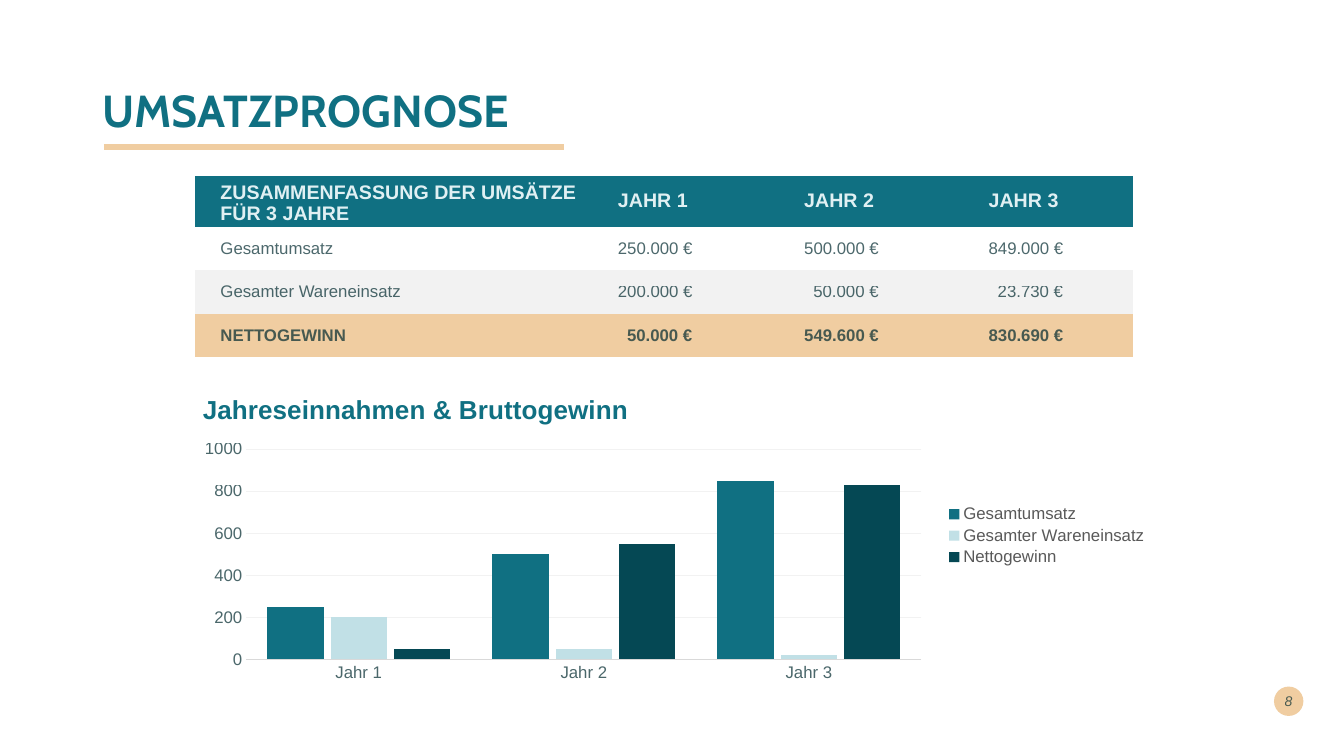
from lxml import etree
from pptx import Presentation
from pptx.chart.data import CategoryChartData
from pptx.dml.color import RGBColor
from pptx.enum.chart import XL_CHART_TYPE as ChartType, XL_LEGEND_POSITION as LegendPos, XL_TICK_MARK as Tick
from pptx.enum.shapes import MSO_CONNECTOR as Connector, MSO_SHAPE as Shape
from pptx.enum.text import MSO_ANCHOR as Anchor, MSO_AUTO_SIZE as AutoSize, PP_ALIGN as Align
from pptx.oxml.ns import qn
from pptx.util import Pt

TEAL, SAND, INK, PALE, DARK = "107082", "F0CDA1", "00292E", "C1E0E6", "054854"
GREY, RULE, LEGEND_INK, HEADER_INK = "F2F2F2", "D9D9D9", "595959", "E0F0F3"
NO_TABLE_STYLE = "{2D5ABB26-0587-4C30-8999-92F81FD0307C}"


def rgb(value):
    return RGBColor.from_string(value)


def assign(target, values):
    for name, value in values.items():
        setattr(target, name, value)


class SlideBuilder:
    """Holds the text style and the slide being built."""

    def __init__(self, page, family="Arial"):
        self.page, self.family = page, family

    def font(self, font, size, color, alpha=None, **extra):
        assign(font, {"name": self.family, "size": Pt(size), **extra})
        font.fill.solid()
        font.fill.fore_color.rgb = rgb(color)
        if alpha:
            tint = font.fill._xPr.find(qn("a:solidFill"))[0]
            etree.SubElement(tint, qn("a:alpha")).set("val", str(alpha * 1000))

    def place(self, shape, left, top, width, height):
        assign(shape, {"left": Pt(left), "top": Pt(top), "width": Pt(width), "height": Pt(height)})

    def put_text(self, frame, text, para_format, **font):
        frame.word_wrap = True
        para = frame.paragraphs[0]
        assign(para, para_format)
        span = para.add_run()
        span.text = text
        self.font(span.font, **font)

    def title(self, text, bounds, **font):
        box = self.page.shapes.title
        self.place(box, *bounds)
        assign(box.text_frame, {"vertical_anchor": Anchor.MIDDLE, "auto_size": AutoSize.NONE})
        self.put_text(box.text_frame, text, {"alignment": Align.LEFT, "line_spacing": 0.9}, **font)

    def rule(self, left, top, width, color, weight):
        line = self.page.shapes.add_connector(
            Connector.STRAIGHT, Pt(left), Pt(top), Pt(left + width), Pt(top))
        line.line.color.rgb = rgb(color)
        line.line.width = Pt(weight)
        etree.SubElement(line._element.spPr, qn("a:effectLst"))

    def disc(self, left, top, size, color):
        disc = self.page.shapes.add_shape(Shape.OVAL, Pt(left), Pt(top), Pt(size), Pt(size))
        disc.shadow.inherit = False
        disc.fill.solid()
        disc.fill.fore_color.rgb = rgb(color)
        disc.line.fill.background()

    def text(self, text, bounds, **font):
        box = self.page.shapes.add_textbox(*map(Pt, bounds))
        box.text_frame.vertical_anchor = Anchor.MIDDLE
        self.put_text(box.text_frame, text, {"alignment": Align.RIGHT}, **font)

    def table(self, bounds, widths, heights, rows, indents):
        frame = self.page.shapes.add_table(len(rows), len(widths), *map(Pt, bounds))
        table = frame.table
        assign(table, {"first_row": False, "horz_banding": False})
        table._tbl.tblPr.find(qn("a:tableStyleId")).text = NO_TABLE_STYLE
        for column, width in zip(table.columns, widths):
            column.width = Pt(width)
        for r, (fill, para_format, font, texts) in enumerate(rows):
            table.rows[r].height = Pt(heights[r])
            for c, text in enumerate(texts):
                cell = table.cell(r, c)
                assign(cell, {"margin_left": 0, "margin_right": 0, "margin_bottom": 0,
                              "margin_top": Pt(3 if r == c == 0 else 0),
                              "vertical_anchor": Anchor.MIDDLE})
                if fill:
                    cell.fill.solid()
                    cell.fill.fore_color.rgb = rgb(fill)
                else:
                    cell.fill.background()
                self.put_text(cell.text_frame, text, para_format, **font)
                # Shorter amounts are shifted to line up with the longer ones
                shift = 6.5 if text.startswith(("50.", "23.")) else 0
                props = cell.text_frame.paragraphs[0]._p.get_or_add_pPr()
                props.set("marL", str(Pt(indents[c] + shift)))
                props.set("indent", "0")

    def layout(self, element, index, **fractions):
        old = element.find(qn("c:layout"))
        if old is not None:
            element.remove(old)
        layout = etree.Element(qn("c:layout"))
        manual = etree.SubElement(layout, qn("c:manualLayout"))
        if element.tag == qn("c:plotArea"):
            etree.SubElement(manual, qn("c:layoutTarget")).set("val", "inner")
        for key in ("xMode", "yMode"):
            etree.SubElement(manual, qn(f"c:{key}")).set("val", "edge")
        for key, value in fractions.items():
            etree.SubElement(manual, qn(f"c:{key}")).set("val", str(value))
        element.insert(index, layout)

    def columns(self, bounds, title, categories, series):
        data = CategoryChartData()
        data.categories = categories
        for name, _, values in series:
            data.add_series(name, values)
        chart = self.page.shapes.add_chart(
            ChartType.COLUMN_CLUSTERED, *map(Pt, bounds), data).chart
        self.font(chart.font, 10, "000000")

        # Columns
        plot = chart.plots[0]
        assign(plot, {"gap_width": 75, "overlap": -12, "vary_by_categories": False})
        for column, (_, color, _) in zip(plot.series, series):
            column.format.fill.solid()
            column.format.fill.fore_color.rgb = rgb(color)
        self.layout(chart._chartSpace.chart.plotArea, 0, x=0.06, y=0.23, w=0.7, h=0.68)

        # Axes
        amounts, years = chart.value_axis, chart.category_axis
        for axis in (amounts, years):
            assign(axis, {"major_tick_mark": Tick.NONE, "minor_tick_mark": Tick.NONE})
            self.font(axis.tick_labels.font, 12, INK, alpha=70)
        assign(amounts, {"minimum_scale": 0, "maximum_scale": 1000, "major_unit": 200})
        amounts.format.line.fill.background()
        for line, color, weight in ((amounts.major_gridlines.format.line, GREY, 0.25),
                                    (years.format.line, RULE, 0.75)):
            line.color.rgb = rgb(color)
            line.width = Pt(weight)

        # Heading and legend
        heading = chart.chart_title
        self.put_text(heading.text_frame, title, {}, size=18.6, color=TEAL, bold=True)
        self.layout(heading._element, 1, x=0.01, y=0.03)
        chart.has_legend = True
        assign(chart.legend, {"position": LegendPos.RIGHT, "include_in_layout": False})
        self.font(chart.legend.font, 12, LEGEND_INK)
        self.layout(chart.legend._element, 1, x=0.78, y=0.4, w=0.22, h=0.22)


def main():
    deck = Presentation()
    assign(deck, {"slide_width": Pt(960), "slide_height": Pt(540)})
    builder = SlideBuilder(deck.slides.add_slide(deck.slide_layouts[5]))

    # Page number
    builder.disc(910, 490.4, 21, SAND)
    builder.text("8", (902, 486, 28.2, 28.8), size=10, color=INK, alpha=70, italic=True)

    # Title
    builder.title("UMSATZPROGNOSE", (66.2, 28.8, 828, 104.4),
                  size=32, color=TEAL, bold=True, name="Cabin")
    builder.rule(74.2, 105.1, 329, SAND, 4.32)

    # Sales summary
    header = {"size": 14, "color": HEADER_INK, "bold": True}
    body = {"size": 12, "color": INK, "alpha": 70, "bold": False}
    rows = [
        (TEAL, {"space_before": Pt(7.8), "line_spacing": Pt(15)}, header,
         ["ZUSAMMENFASSUNG DER UMSÄTZE FÜR 3 JAHRE", "JAHR 1", "JAHR 2", "JAHR 3"]),
        (None, {"space_before": Pt(4.2)}, body,
         ["Gesamtumsatz", "250.000 €", "500.000 €", "849.000 €"]),
        (GREY, {"space_before": Pt(3.7)}, body,
         ["Gesamter Wareneinsatz", "200.000 €", "50.000 €", "23.730 €"]),
        (SAND, {"space_before": Pt(3.7)}, {**body, "bold": True},
         ["NETTOGEWINN", "50.000 €", "549.600 €", "830.690 €"]),
    ]
    builder.table((139.5, 126, 669.6, 129), [274.5] + [131.7] * 3, [36] + [31] * 3,
                  rows, [18, 27.4, 28.8, 28.8])

    # Revenue chart
    builder.columns((134.6, 270, 689, 221), "Jahreseinnahmen & Bruttogewinn",
                    ["Jahr 1", "Jahr 2", "Jahr 3"],
                    [("Gesamtumsatz", TEAL, (250, 500, 850)),
                     ("Gesamter Wareneinsatz", PALE, (200, 50, 20)),
                     ("Nettogewinn", DARK, (50, 550, 830))])

    deck.save("out.pptx")


if __name__ == "__main__":
    main()
